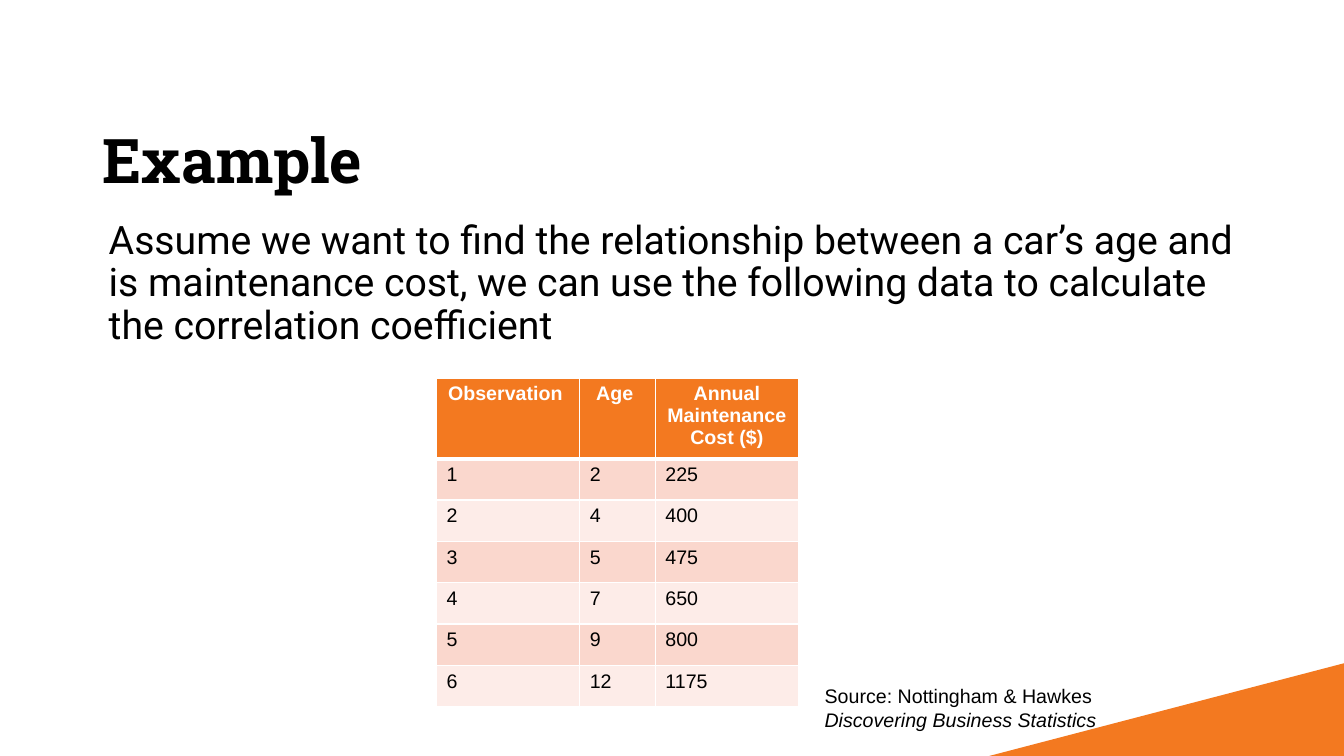
from lxml import etree
from pptx import Presentation
from pptx import util as u
from pptx.dml.color import RGBColor
from pptx.enum import text
from pptx.oxml import ns

WIDTH, HEIGHT = u.Inches(13.33), u.Inches(7.5)
ORANGE = RGBColor(0xF3, 0x79, 0x20)
ROSE = RGBColor(0xFA, 0xD7, 0xCD)
PALE_ROSE = RGBColor(0xFD, 0xEC, 0xE8)
WHITE = RGBColor(0xFF, 0xFF, 0xFF)
BLACK = RGBColor(0, 0, 0)

HEADINGS = ("Observation ", "Age ", "Annual Maintenance Cost ($)")
CARS = ((2, 225), (4, 400), (5, 475), (7, 650), (9, 800), (12, 1175))
COLUMN_WIDTHS = (1.42, 0.75, 1.42)
HEADING_HEIGHT, ROW_HEIGHT = 0.74, 0.41


def style(span, font, size, color=BLACK, bold=False, italic=False):
    span.font.name = font
    span.font.size = u.Pt(size)
    span.font.color.rgb = color
    span.font.bold = bold
    span.font.italic = italic


def add_text(page, left, top, width, height, anchor=text.MSO_ANCHOR.TOP):
    """Add an empty wrapping text box and return its first paragraph."""
    box = page.shapes.add_textbox(*map(u.Inches, (left, top, width, height)))
    box.text_frame.word_wrap = True
    box.text_frame.vertical_anchor = anchor
    return box.text_frame.paragraphs[0]


def add_span(para, wording, font, size, **looks):
    span = para.add_run()
    span.text = wording
    style(span, font, size, **looks)


def add_corner_wedge(page):
    left, top = u.Inches(9.81), u.Inches(6.58)
    outline = page.shapes.build_freeform(left, HEIGHT)
    outline.add_line_segments([(WIDTH, top), (WIDTH, HEIGHT)])
    wedge = outline.convert_to_shape()
    wedge.shadow.inherit = False
    wedge.fill.solid()
    wedge.fill.fore_color.rgb = ORANGE
    wedge.line.fill.background()


def set_borders(cell, bottom):
    """Draw white borders, 1 pt except for the bottom one."""
    properties = cell._tc.get_or_add_tcPr()
    widths = {"lnL": 1, "lnR": 1, "lnT": 1, "lnB": bottom}
    for place, (side, points) in enumerate(widths.items()):
        line = etree.Element(ns.qn(f"a:{side}"), w=str(u.Pt(points)))
        fill = etree.SubElement(line, ns.qn("a:solidFill"))
        etree.SubElement(fill, ns.qn("a:srgbClr"), val=str(WHITE))
        properties.insert(place, line)


def fill_cell(cell, value, background, heading):
    cell.fill.solid()
    cell.fill.fore_color.rgb = background
    cell.text_frame.text = str(value)
    para = cell.text_frame.paragraphs[0]
    para.alignment = text.PP_ALIGN.CENTER if heading else text.PP_ALIGN.LEFT
    style(para.runs[0], "Arial", 14, WHITE if heading else BLACK, bold=heading)
    set_borders(cell, 3 if heading else 1)


def add_cost_table(page):
    rows = [HEADINGS] + [(number, *car) for number, car in enumerate(CARS, 1)]
    heights = [HEADING_HEIGHT] + [ROW_HEIGHT] * len(CARS)
    frame = page.shapes.add_table(
        len(rows), len(HEADINGS), u.Inches(4.33), u.Inches(3.75),
        u.Inches(sum(COLUMN_WIDTHS)), u.Inches(sum(heights)))
    table = frame.table
    for column, width in zip(table.columns, COLUMN_WIDTHS):
        column.width = u.Inches(width)
    for index, (values, height) in enumerate(zip(rows, heights)):
        table.rows[index].height = u.Inches(height)
        heading = index == 0
        background = ORANGE if heading else ROSE if index % 2 else PALE_ROSE
        for cell, value in zip(table.rows[index].cells, values):
            fill_cell(cell, value, background, heading)


def main():
    deck = Presentation()
    deck.slide_width, deck.slide_height = WIDTH, HEIGHT
    page = deck.slides.add_slide(deck.slide_layouts[6])
    add_corner_wedge(page)

    title = add_text(page, 0.92, 1.25, 11.5, 0.75, text.MSO_ANCHOR.MIDDLE)
    title.line_spacing = 0.9
    add_span(title, "Example", "Roboto Slab", 44, bold=True)

    body = add_text(page, 0.92, 2.14, 11.58, 1.4)
    body.line_spacing = 0.9
    body.space_before = u.Pt(10)
    body._p.get_or_add_pPr().set("marL", str(u.Inches(0.06)))
    add_span(body, "Assume we want to find the relationship between a car’s age "
             "and is maintenance cost, we can use the following data to "
             "calculate the correlation coefficient", "Roboto", 28)

    add_cost_table(page)

    source = add_text(page, 8.08, 6.74, 3.25, 0.57)
    add_span(source, "Source: Nottingham & Hawkes ", "Arial", 14)
    add_span(source, "Discovering Business Statistics", "Arial", 14, italic=True)
    deck.save("out.pptx")


if __name__ == "__main__":
    main()
